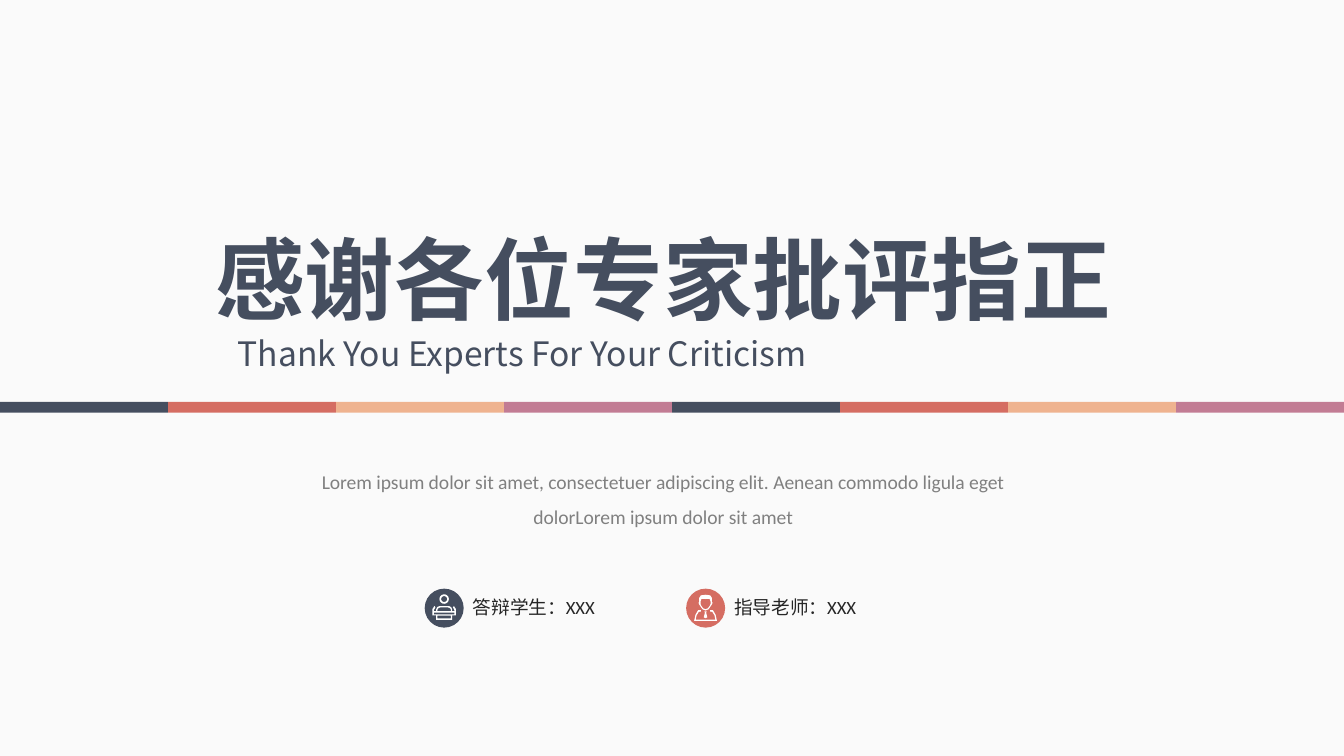
"""Build a closing thank-you slide with a colour band and two labelled icons."""
from math import cos, pi, sin

from lxml.etree import SubElement
from pptx import Presentation
from pptx.dml.color import RGBColor
from pptx.enum.shapes import MSO_SHAPE
from pptx.enum.text import MSO_ANCHOR, PP_ALIGN
from pptx.oxml.ns import qn
from pptx.util import Inches, Pt

NAVY = RGBColor(0x45, 0x4E, 0x5F)
CORAL = RGBColor(0xD5, 0x6D, 0x62)
PEACH = RGBColor(0xEF, 0xB3, 0x8F)
MAUVE = RGBColor(0xC2, 0x7C, 0x94)
GREY = RGBColor(0x80, 0x80, 0x80)
INK = RGBColor(0x26, 0x26, 0x26)
WHITE = RGBColor(0xFF, 0xFF, 0xFF)
PAPER = RGBColor(0xFA, 0xFA, 0xFA)
HAN = "Noto Sans CJK SC"

deck = Presentation()
deck.slide_width, deck.slide_height = Inches(10), Inches(5.625)
col = deck.slide_width / 100
slide = deck.slides.add_slide(deck.slide_layouts[6])
slide.background.fill.solid()
slide.background.fill.fore_color.rgb = PAPER
shapes = slide.shapes


def paint(shape, color):
    shape.shadow.inherit = False
    shape.fill.solid()
    shape.fill.fore_color.rgb = color
    shape.line.fill.background()


def write(area, text, size, font, color, align, bold=False, wrap=True):
    box = shapes.add_textbox(*(round(n * col) for n in area))
    frame = box.text_frame
    frame.word_wrap = wrap
    frame.vertical_anchor = MSO_ANCHOR.MIDDLE
    para = frame.paragraphs[0]
    para.alignment = align
    run = para.add_run()
    run.text = text
    run.font.size, run.font.name, run.font.bold = Pt(size), font, bold
    run.font.color.rgb = color
    SubElement(run.font._element, qn("a:ea")).set("typeface", HAN)
    return para


write((14.7, 16.1, 69.3, 9.1), "感谢各位专家批评指正", 48, HAN, NAVY,
      PP_ALIGN.CENTER, bold=True, wrap=False)
lorem = write((22.8, 33.7, 53.1, 6),
              "Lorem ipsum dolor sit amet, consectetuer adipiscing elit. "
              "Aenean commodo ligula eget dolorLorem ipsum dolor sit amet",
              10.5, "Calibri", GREY, PP_ALIGN.CENTER)
lorem.line_spacing = 1.5
write((16.7, 24.3, 66.6, 4), "Thank You Experts For Your Criticism", 18, HAN,
      NAVY, PP_ALIGN.JUSTIFY)

step = deck.slide_width // 8
for i, color in enumerate([NAVY, CORAL, PEACH, MAUVE] * 2):
    band = shapes.add_shape(MSO_SHAPE.RECTANGLE, i * step, round(29.9 * col),
                            step, round(0.8 * col))
    paint(band, color)

# Each outline is the right half of a symmetric contour.
rings = [[(r * sin(pi * k / 12), -6.7 - r * cos(pi * k / 12))
          for k in range(13)] for r in (3.5, 2.2)]
desk = [
    [(3.5, -1.5), (5.2, -0.7), (6, 1), (6, 2.3), (7.6, 2.3), (7.6, 1.5),
     (6.5, -0.6), (7.3, -1.5), (8.8, 0.8), (8.8, 5.5), (6, 5.5), (6, 8.8)],
    [(3, -0.4), (4.5, 0.2), (5, 1.2), (5, 2.3)],
    [(7.6, 3.4), (7.6, 4.6)],
    [(5, 5.6), (5, 7.6)],
]
tutor = [
    [(8.5, 9.5), (7.5, 5), (5.5, 1.5), (3.5, 1.5), (3.5, 2.5), (5, 2.8),
     (6.7, 5.5), (7.3, 8.5)],
    [(0.8, 2.5), (0.5, 3.5), (1.3, 6.8), (0, 7.5)],
    [(0, -10), (3.5, -9.5), (4.8, -7.5), (4.8, -4.5), (5.2, -4),
     (4.8, -2.8), (2.3, 0.8), (0, 1.8)],
    [(0, -6.8), (3, -7), (3.7, -5), (3.7, -3), (3.3, -2), (1.8, 0.1),
     (0, 0.8)],
]

people = [(31.6, NAVY, "答辩学生：XXX", [rings, desk]),
          (51.05, CORAL, "指导老师：XXX", [tutor])]
for left, color, label, icon in people:
    write((left + 2.6, 43.8, 15.6, 2.8), label, 10, "Calibri", INK,
          PP_ALIGN.LEFT)
    disc = shapes.add_shape(MSO_SHAPE.OVAL, round(left * col),
                            round(43.8 * col), round(2.9 * col),
                            round(2.9 * col))
    paint(disc, color)
    for part in icon:
        loops = []
        for half in part:
            whole = half + [(-x, y) for x, y in reversed(half)]
            loops.append([((left + 1.45 + x / 10) * col,
                           (45.25 + y / 10) * col) for x, y in whole])
        pen = shapes.build_freeform(*loops[0][0])
        for loop in loops:
            pen.move_to(*loop[0])
            pen.add_line_segments(loop[1:], close=True)
        paint(pen.convert_to_shape(), WHITE)

deck.save("out.pptx")
